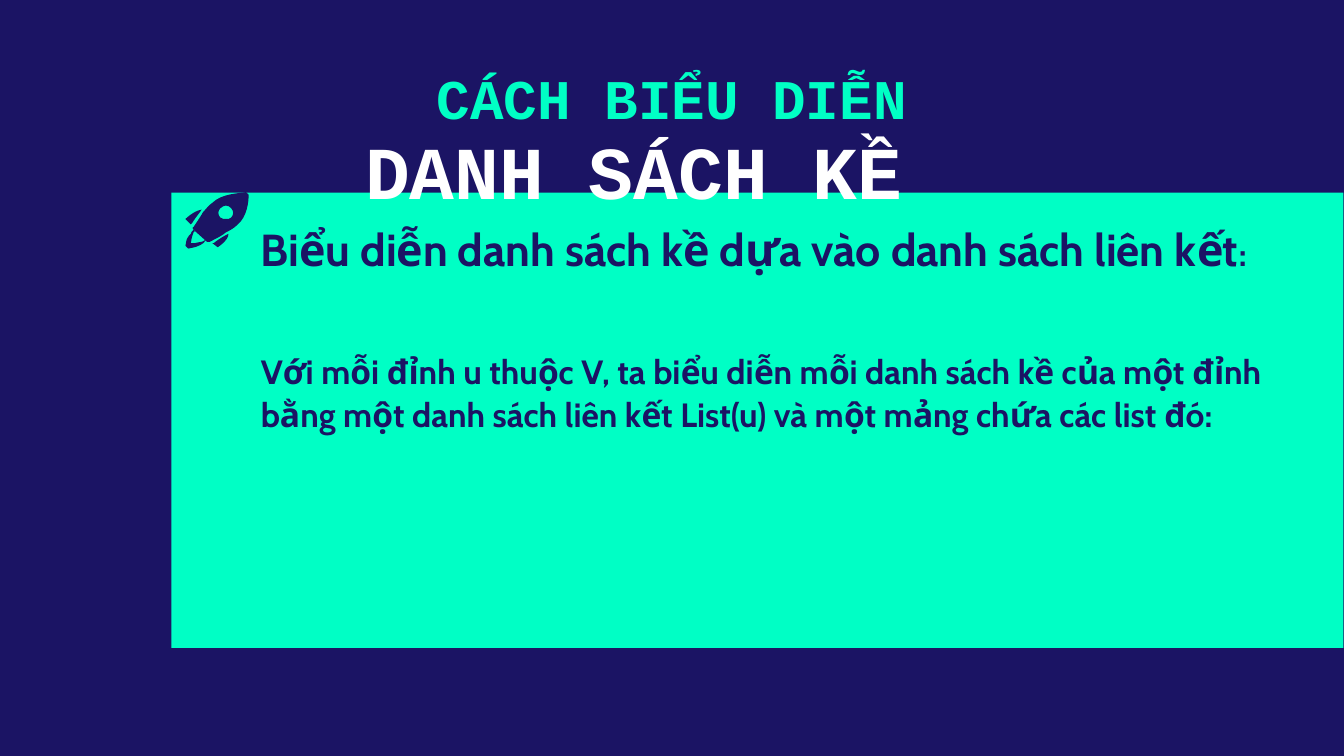
from pptx import Presentation
from pptx import util as u
from pptx.dml.color import RGBColor
from pptx.enum import shapes, text
from pptx.oxml.ns import qn

NAVY, MINT, WHITE = "1B1464", "00FFC5", "FFFFFF"
MONO, SANS = "Courier New", "Cabin"
GRID = u.Cm(0.0254)

# Rocket outlines on the grid: a start point, then
# pairs for lines and sixes for curves
FINS = [
    [(150, 156), (144, 157, 138, 163, 138, 163), (142, 167),
     (143, 167, 143, 166, 143, 166), (146, 161, 149, 158, 150, 156)],
    [(170, 174), (168, 175, 164, 177, 159, 181),
     (159, 181, 159, 181, 158, 181), (162, 184),
     (162, 184, 170, 179, 170, 174)],
]
FLAME = [(144, 171), (143, 172, 142, 173, 142, 174),
         (141, 175, 140, 176, 139, 178), (139, 179, 138, 181, 138, 183),
         (138, 184, 138, 184, 139, 184), (139, 184, 139, 185, 140, 185),
         (142, 185, 144, 184, 145, 184), (148, 183, 151, 182, 153, 179),
         (153, 179, 152, 179, 152, 179), (152, 179, 151, 180, 150, 180),
         (148, 180, 146, 181, 145, 181), (144, 181, 143, 181, 142, 181),
         (142, 179, 143, 177, 143, 176), (143, 175, 144, 174, 144, 173),
         (144, 173, 144, 172, 145, 172)]
PORT = [(168, 153), (170, 153, 171, 154, 172, 155),
        (174, 157, 174, 160, 172, 162), (171, 163, 170, 163, 168, 163),
        (167, 163, 165, 163, 164, 162), (162, 160, 162, 157, 164, 155),
        (165, 154, 167, 153, 168, 153)]
HULL = [(183, 143), (178, 144, 165, 144, 158, 151),
        (155, 153, 154, 155, 151, 158), (150, 160, 148, 163, 144, 169),
        (143, 169, 143, 170, 144, 171), (154, 180),
        (155, 180, 155, 180, 155, 180), (156, 180, 156, 180, 156, 180),
        (162, 177, 166, 175, 168, 173), (172, 171, 174, 170, 177, 167),
        (184, 161, 185, 150, 185, 145), (185, 145, 185, 144, 184, 144),
        (184, 144, 184, 143, 183, 143)]


def color(code):
    return RGBColor.from_string(code)


def bend(shape, segs):
    """Join each three lines that stand for a curve into one curve."""
    lines = iter(shape._element.xpath(".//a:lnTo"))
    for seg in segs:
        lead = next(lines)
        if len(seg) == 6:
            for _ in range(2):
                line = next(lines)
                lead.append(line[0])
                line.getparent().remove(line)
            lead.tag = qn("a:cubicBezTo")


class Deck:
    def __init__(self, wide, high, back):
        self.prs = Presentation()
        self.prs.slide_width, self.prs.slide_height = u.Cm(wide), u.Cm(high)
        self.slide = self.prs.slides.add_slide(self.prs.slide_layouts[6])
        fill = self.slide.background.fill
        fill.solid()
        fill.fore_color.rgb = color(back)

    def paint(self, shape, code):
        shape.shadow.inherit = False
        shape.fill.solid()
        shape.fill.fore_color.rgb = color(code)
        shape.line.fill.background()

    def panel(self, box, code):
        shape = self.slide.shapes.add_shape(
            shapes.MSO_SHAPE.RECTANGLE, *map(u.Cm, box))
        self.paint(shape, code)

    def frame(self, box, anchor, pad=0.0):
        frame = self.slide.shapes.add_textbox(*map(u.Cm, box)).text_frame
        frame.word_wrap = True
        frame.vertical_anchor = anchor
        frame.margin_left = frame.margin_right = u.Cm(0.25)
        frame.margin_top = frame.margin_bottom = u.Cm(pad)
        return frame

    def style(self, para, face, size, code):
        font = para.font
        font.name, font.size, font.bold = face, u.Pt(size), True
        font.color.rgb = color(code)

    def icon(self, parts, code):
        group = self.slide.shapes.add_group_shape()
        for loops in parts:
            pen = group.shapes.build_freeform(*loops[0][0], scale=GRID)
            for start, *segs in loops:
                if start != loops[0][0]:
                    pen.move_to(*start)
                pts = [seg[i:i + 2] for seg in segs
                       for i in range(0, len(seg), 2)]
                pen.add_line_segments(pts, close=True)
            shape = pen.convert_to_shape()
            bend(shape, [seg for loop in loops for seg in loop[1:]])
            self.paint(shape, code)


def main():
    deck = Deck(25.4, 14.29, NAVY)
    top, base = text.MSO_ANCHOR.TOP, text.MSO_ANCHOR.BOTTOM

    # Heading
    head = deck.frame((3.55, 0.95, 18.29, 1.85), top, 0.25).paragraphs[0]
    head.text = "CÁCH BIỂU DIỄN"
    head.alignment = text.PP_ALIGN.CENTER
    deck.style(head, MONO, 30, MINT)

    # Panel and subtitle
    deck.panel((3.24, 3.64, 22.15, 8.61), MINT)
    sub = deck.frame((6.65, 2.04, 13.69, 2.01), base).paragraphs[0]
    sub.text = "DANH SÁCH KỀ"
    deck.style(sub, MONO, 40, WHITE)

    # Rocket
    deck.icon([[fin] for fin in FINS] + [[FLAME], [PORT, HULL]], NAVY)

    # Body text
    body = deck.frame((4.68, -0.4, 20.73, 8.61), base)
    lead, note = body.paragraphs[0], body.add_paragraph()
    lead.text = "Biểu diễn danh sách kề dựa vào danh sách liên kết"
    colon = lead.add_run()
    colon.text = ":"
    colon.font.size = u.Pt(18)
    note.text = ("Với mỗi đỉnh u thuộc V, ta biểu diễn mỗi danh sách kề của "
                 "một đỉnh bằng một danh sách liên kết List(u) và một mảng "
                 "chứa các list đó:")
    for para, size, gap in ((lead, 24, 39), (note, 18, 8)):
        deck.style(para, SANS, size, NAVY)
        para.line_spacing = 1.07
        para.space_after = u.Pt(gap)

    deck.prs.save("out.pptx")


if __name__ == "__main__":
    main()
